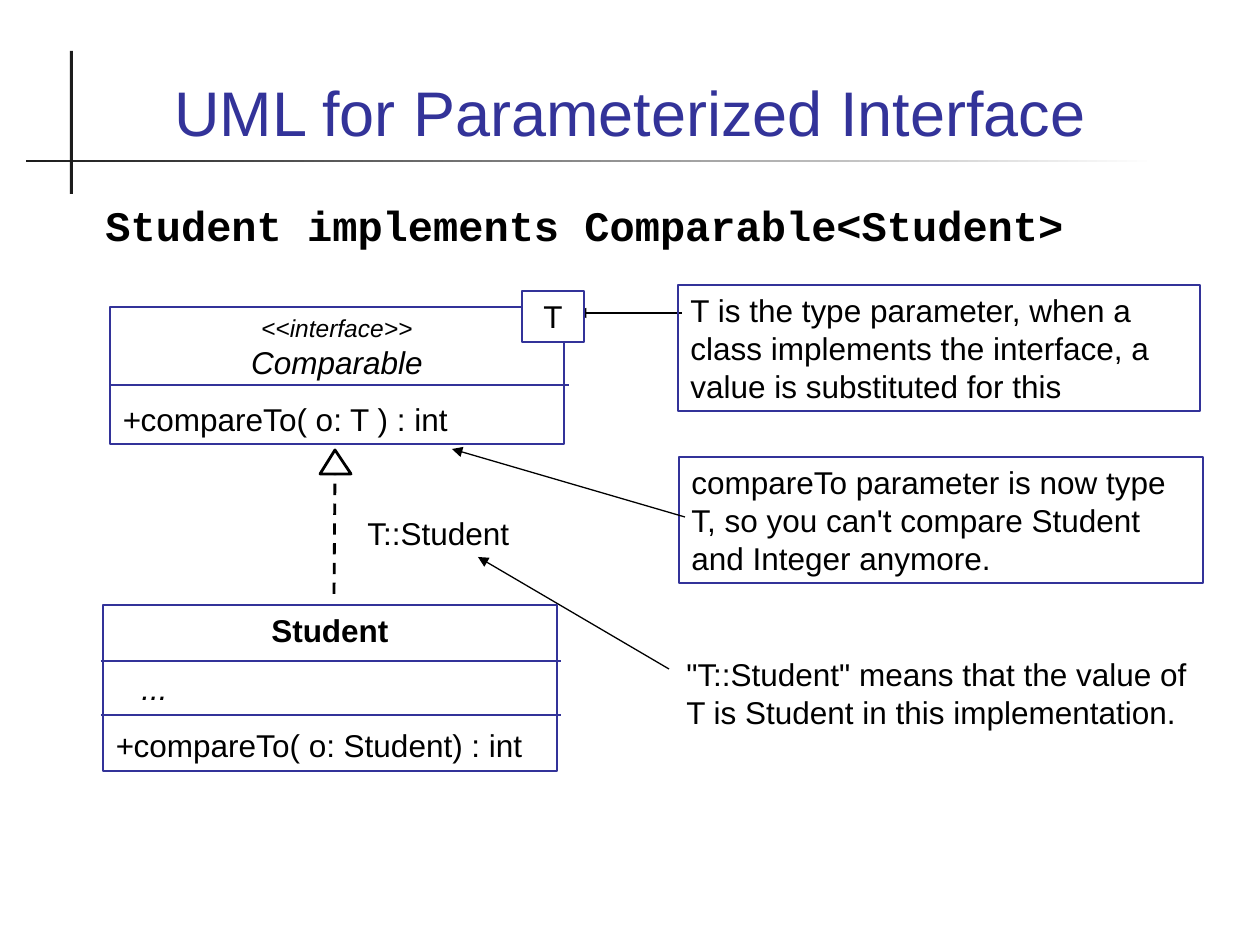
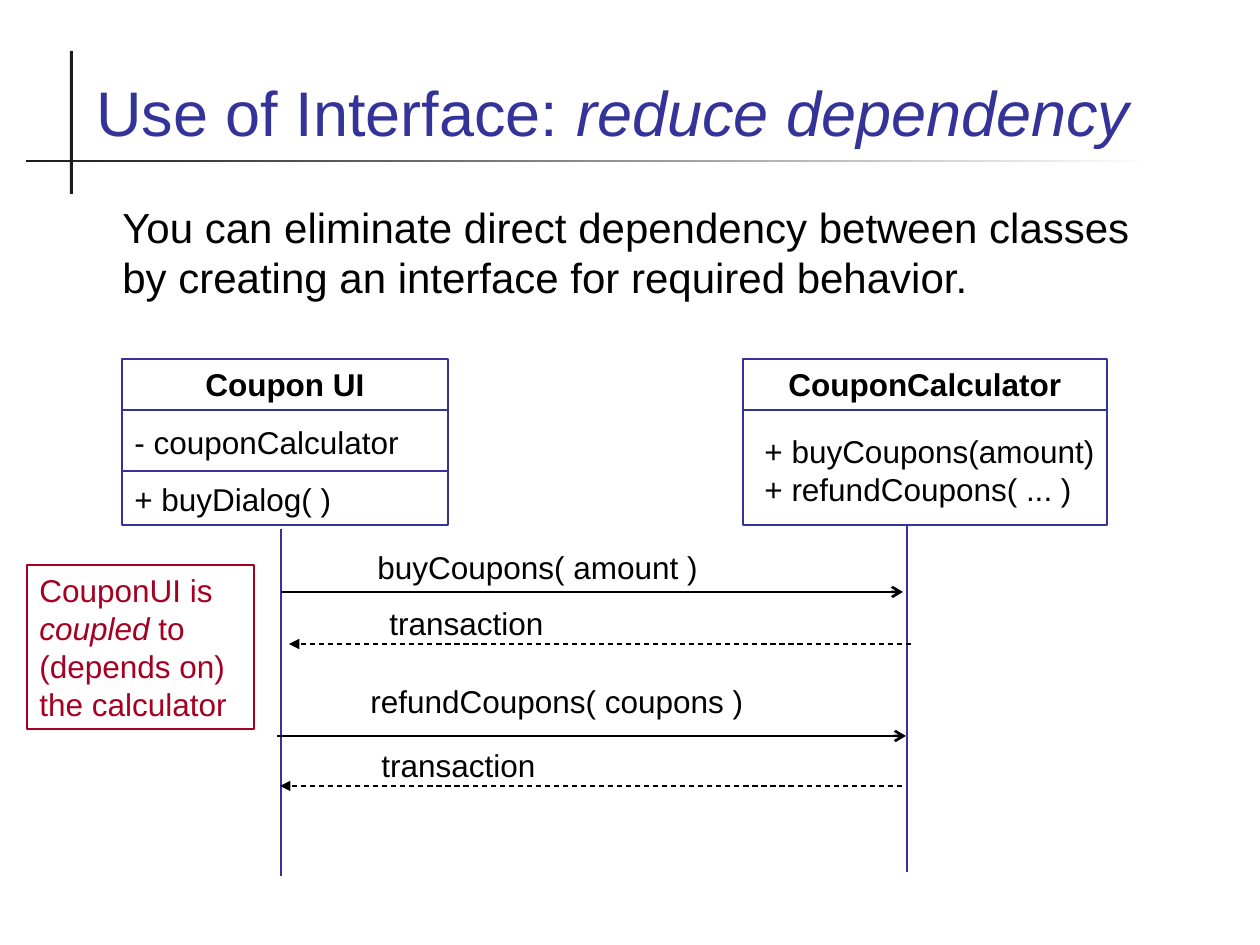
from lxml.etree import SubElement
from pptx import Presentation
from pptx.dml.color import RGBColor
from pptx.enum.dml import MSO_LINE
from pptx.enum.shapes import MSO_CONNECTOR, MSO_SHAPE
from pptx.enum.text import MSO_ANCHOR, PP_ALIGN
from pptx.oxml.ns import qn
from pptx.util import Emu, Pt

NAVY = RGBColor(0x33, 0x33, 0x99)
CRIMSON = RGBColor(0xA5, 0x00, 0x21)
CHARCOAL = RGBColor(0x1C, 0x1C, 0x1C)
BLACK = RGBColor(0x00, 0x00, 0x00)
WHITE = RGBColor(0xFF, 0xFF, 0xFF)

EMU_PER_PX = 914400 / 126
CENTER = PP_ALIGN.CENTER


def px(length):
    return Emu(round(length * EMU_PER_PX))


# Text
def write(shape, text, *, size=18, font="Arial", color=BLACK, bold=False,
          italic=False, align=PP_ALIGN.LEFT, before=11.2, indent=0,
          same_paragraph=False):
    """Add text as a new paragraph, or as a run of the last one."""
    frame = shape.text_frame
    paragraph = frame.paragraphs[-1]
    if not same_paragraph:
        if paragraph.runs:
            paragraph = frame.add_paragraph()
            paragraph.space_before = Pt(before)
        paragraph.alignment = align
        if indent:
            paragraph._p.get_or_add_pPr().set("marL", str(px(indent)))
    run = paragraph.add_run()
    run.text = text
    run.font.name, run.font.size = font, Pt(size)
    run.font.bold, run.font.italic = bold, italic
    run.font.color.rgb = color


def text_area(slide, left, top, width, height, anchor=MSO_ANCHOR.TOP):
    area = slide.shapes.add_textbox(px(left), px(top), px(width), px(height))
    area.text_frame.word_wrap = True
    area.text_frame.vertical_anchor = anchor
    return area


def label(slide, left, top, width, text, height=50):
    write(text_area(slide, left, top, width, height), text)


# Boxes and lines
def rectangle(slide, left, top, width, height):
    box = slide.shapes.add_shape(MSO_SHAPE.RECTANGLE, px(left), px(top),
                                 px(width), px(height))
    box.shadow.inherit = False
    return box


def framed_box(slide, left, top, width, height, color=NAVY, weight=0.75):
    box = rectangle(slide, left, top, width, height)
    box.fill.background()
    box.line.color.rgb, box.line.width = color, Pt(weight)
    box.text_frame.word_wrap = True
    box.text_frame.vertical_anchor = MSO_ANCHOR.TOP
    return box


def connect(slide, start, end, color=BLACK, weight=0.75, dashed=False, arrow=None):
    ends = [px(value) for value in (*start, *end)]
    connector = slide.shapes.add_connector(MSO_CONNECTOR.STRAIGHT, *ends)
    connector.line.color.rgb, connector.line.width = color, Pt(weight)
    if dashed:
        connector.line.dash_style = MSO_LINE.DASH
    properties = connector._element.spPr
    if arrow:
        SubElement(properties.find(qn("a:ln")), qn("a:tailEnd"), type=arrow)
    SubElement(properties, qn("a:effectLst"))


def class_box(slide, left, top, width, height, dividers, overhang=(0, 0), weight=0.75):
    """A UML class frame with dividers at the given heights."""
    for y in dividers:
        connect(slide, (left - overhang[0], y), (left + width + overhang[1], y),
                NAVY, weight)
    return framed_box(slide, left, top, width, height, weight=1.5)


# Shared slide frame
def new_slide(deck, title, emphasis="", align=PP_ALIGN.LEFT):
    slide = deck.slides.add_slide(deck.slide_layouts[6])
    rule = rectangle(slide, 26, 160, 1131, 2)
    rule.fill.gradient()
    rule.fill.gradient_angle = 0
    for stop, color in zip(rule.fill.gradient_stops, (CHARCOAL, WHITE)):
        stop.color.rgb = color
    bar = rectangle(slide, 70, 51, 3, 143)
    bar.fill.solid()
    bar.fill.fore_color.rgb = CHARCOAL
    for part in (rule, bar):
        part.line.fill.background()

    heading = text_area(slide, 84, 35, 1092, 120, MSO_ANCHOR.BOTTOM)
    write(heading, title, size=36, color=NAVY, align=align)
    if emphasis:
        write(heading, emphasis, size=36, color=NAVY, italic=True,
              same_paragraph=True)
    return slide


def parameterized_interface(deck):
    slide = new_slide(deck, "UML for Parameterized Interface", align=CENTER)
    declaration = text_area(slide, 93, 193, 1091, 73)
    write(declaration, "Student implements Comparable<Student>",
          size=24, font="Courier New", bold=True)

    # Realization arrow with its hollow head
    connect(slide, (334, 594), (335, 474), weight=1.62, dashed=True)
    outline = slide.shapes.build_freeform(320, 474, scale=EMU_PER_PX)
    outline.add_line_segments([(351, 474), (335, 450)], close=True)
    head = outline.convert_to_shape()
    head.shadow.inherit = False
    head.fill.background()
    head.line.color.rgb, head.line.width = BLACK, Pt(1.62)
    label(slide, 355, 508, 195, "T::Student")
    label(slide, 674, 649, 542, '"T::Student" means that the value of '
          "T is Student in this implementation.", 88)

    # Comparable interface and its type parameter
    connect(slide, (682, 313), (576, 313), arrow="triangle")
    comparable = class_box(slide, 110, 307, 454, 137, [385], (0, 5), 1)
    write(comparable, "<<interface>>", size=14, italic=True, align=CENTER)
    write(comparable, "Comparable", italic=True, align=CENTER, before=0)
    write(comparable, "+", italic=True)
    write(comparable, "compareTo( o: T ) : int", same_paragraph=True)
    type_parameter = framed_box(slide, 522, 291, 62, 51)
    type_parameter.fill.solid()
    type_parameter.fill.fore_color.rgb = WHITE
    write(type_parameter, "T", align=CENTER)

    # Student class
    student = class_box(slide, 103, 605, 454, 166, [661, 715], (2, 4), 1)
    write(student, "Student", bold=True, align=CENTER)
    write(student, "...", italic=True, indent=26)
    write(student, "+", italic=True)
    write(student, "compareTo( o: Student) : int", same_paragraph=True)

    # Notes
    for left, top, width, note in (
        (678, 285, 522, "T is the type parameter, when a class implements "
                        "the interface, a value is substituted for this"),
        (679, 457, 524, "compareTo parameter is now type T, so you can't "
                        "compare Student and Integer anymore."),
    ):
        write(framed_box(slide, left, top, width, 126), note)
    connect(slide, (685, 517), (452, 449), arrow="triangle")
    connect(slide, (669, 669), (478, 557), arrow="triangle")


def reduce_dependency(deck):
    slide = new_slide(deck, "Use of Interface: ", "reduce dependency")
    advice = text_area(slide, 110, 195, 1041, 113)
    write(advice, "You can eliminate direct dependency between classes "
          "by creating an interface for required behavior.", size=24)

    # Classes
    coupon_ui = class_box(slide, 122, 359, 326, 166, [410, 471])
    write(coupon_ui, "Coupon UI", bold=True, align=CENTER)
    write(coupon_ui, "- couponCalculator")
    write(coupon_ui, "+ buyDialog( )")
    calculator = class_box(slide, 743, 359, 364, 166, [410])
    write(calculator, "CouponCalculator", bold=True, align=CENTER)
    methods = text_area(slide, 752, 426, 359, 88)
    write(methods, "+ buyCoupons(amount)")
    write(methods, "+ refundCoupons( ... )", before=0)

    # Lifelines
    for x, top, bottom in ((281, 529, 876), (907, 525, 872)):
        connect(slide, (x, top), (x, bottom), NAVY, 1.5)

    # Calls and their replies
    for start, end, y in ((281, 903, 592), (277, 906, 736)):
        connect(slide, (start, y), (end, y), weight=1.5, arrow="arrow")
    for start, end, y in ((911, 289, 644), (902, 280, 786)):
        connect(slide, (start, y), (end, y), dashed=True, arrow="triangle")
    for left, top, message in ((365, 542, "buyCoupons( amount )"),
                               (377, 598, "transaction"),
                               (358, 676, "refundCoupons( coupons )"),
                               (369, 740, "transaction")):
        label(slide, left, top, 467, message)

    # Coupling remark
    remark = framed_box(slide, 27, 565, 227, 164, CRIMSON)
    write(remark, "CouponUI is ", color=CRIMSON)
    write(remark, "coupled", color=CRIMSON, italic=True, same_paragraph=True)
    write(remark, " to (depends on) the calculator", color=CRIMSON,
          same_paragraph=True)


def main():
    deck = Presentation()
    deck.slide_width, deck.slide_height = px(1260), px(945)
    parameterized_interface(deck)
    reduce_dependency(deck)
    deck.save("out.pptx")


if __name__ == "__main__":
    main()
